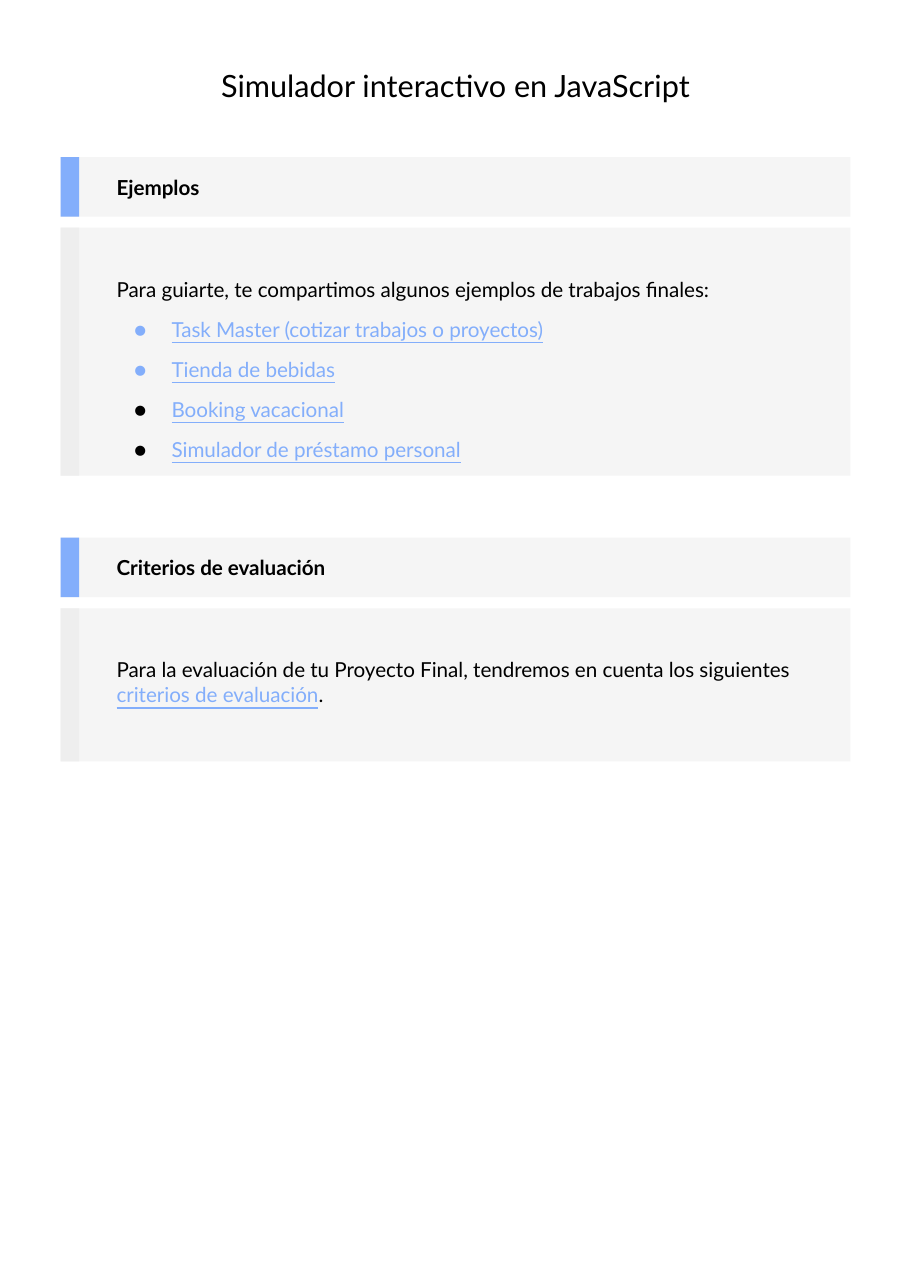
from lxml.etree import SubElement
from pptx import Presentation
from pptx.dml.color import RGBColor
from pptx.enum.shapes import MSO_SHAPE as Shape
from pptx.enum.text import MSO_ANCHOR as Anchor, MSO_AUTO_SIZE as AutoSize, PP_ALIGN as Align
from pptx.oxml.ns import qn
from pptx.util import Pt

COLORS = {"text": "000000", "accent": "83AEFB", "panel": "F5F5F5", "strip": "EEEEEE"}
LEFT, WIDTH = 39.6, 516.2
STRIP_WIDTH = 12.2
TEXT_LEFT = 69.1
HEADING_HEIGHT = 38.9
PANEL_GAP = 7.2
PANEL_PADDING = 24.8

EXAMPLES = [
    ("Task Master (cotizar trabajos o proyectos)", "accent"),
    ("Tienda de bebidas", "accent"),
    ("Booking vacacional", "text"),
    ("Simulador de préstamo personal", "text"),
]


class Page:
    font = "Lato"
    body_size = 13.5

    def __init__(self, slide):
        self.slide = slide

    def place(self, shape, left, top, width, height):
        shape.left, shape.top = Pt(left), Pt(top)
        shape.width, shape.height = Pt(width), Pt(height)

    def prepare_frame(self, shape, anchor=Anchor.TOP):
        frame = shape.text_frame
        frame.word_wrap = True
        frame.auto_size = AutoSize.NONE
        frame.vertical_anchor = anchor
        frame.margin_left = frame.margin_right = Pt(7.2)
        frame.margin_top = frame.margin_bottom = Pt(7.2)
        return frame

    def run(self, paragraph, text, size=body_size, bold=False, link=False):
        run = paragraph.add_run()
        run.text = text
        font = run.font
        font.name, font.size, font.bold = self.font, Pt(size), bold
        font.underline = link
        font.color.rgb = RGBColor.from_string(COLORS["accent" if link else "text"])

    def title(self, text):
        title = self.slide.shapes.title
        self.place(title, LEFT, 36.7, WIDTH, 38.9)
        paragraph = self.prepare_frame(title).paragraphs[0]
        paragraph.alignment = Align.CENTER
        self.run(paragraph, text, size=20)

    def rectangle(self, left, top, width, height, color):
        shape = self.slide.shapes.add_shape(
            Shape.RECTANGLE, Pt(left), Pt(top), Pt(width), Pt(height))
        shape.shadow.inherit = False
        shape.fill.solid()
        shape.fill.fore_color.rgb = RGBColor.from_string(COLORS[color])
        shape.line.fill.background()

    def panel(self, top, height, strip_color):
        self.rectangle(LEFT, top, WIDTH, height, "panel")
        self.rectangle(LEFT, top, STRIP_WIDTH, height, strip_color)

    def text_box(self, top, width, height, anchor=Anchor.TOP):
        box = self.slide.shapes.add_textbox(
            Pt(TEXT_LEFT), Pt(top), Pt(width), Pt(height))
        return self.prepare_frame(box, anchor)

    def section(self, heading, top, panel_height, text_height):
        """Draw a heading bar over a panel and return the panel's text frame."""
        self.panel(top, HEADING_HEIGHT, "accent")
        frame = self.text_box(top + 1.8, 469.4, 35.3, Anchor.MIDDLE)
        paragraph = frame.paragraphs[0]
        paragraph.space_after = Pt(12)
        self.run(paragraph, heading, bold=True)

        panel_top = top + HEADING_HEIGHT + PANEL_GAP
        self.panel(panel_top, panel_height, "strip")
        return self.text_box(panel_top + PANEL_PADDING, 457.9, text_height)

    def bullet(self, frame, text, bullet_color):
        paragraph = frame.add_paragraph()
        paragraph.space_before = Pt(10)
        properties = paragraph._p.get_or_add_pPr()
        properties.set("marL", str(Pt(36)))
        properties.set("indent", str(Pt(-24.5)))
        color = SubElement(properties, qn("a:buClr"))
        SubElement(color, qn("a:srgbClr"), val=COLORS[bullet_color])
        SubElement(properties, qn("a:buFont"), typeface=self.font)
        SubElement(properties, qn("a:buChar"), char="●")
        self.run(paragraph, text, link=True)


def main():
    presentation = Presentation()
    presentation.slide_width, presentation.slide_height = Pt(595.4), Pt(841.7)
    title_only = presentation.slide_layouts[5]
    page = Page(presentation.slides.add_slide(title_only))

    page.title("Simulador interactivo en JavaScript")

    examples = page.section("Ejemplos", 102.7, 162, 136.8)
    page.run(examples.paragraphs[0],
             "Para guiarte, te compartimos algunos ejemplos de trabajos finales:")
    for text, bullet_color in EXAMPLES:
        page.bullet(examples, text, bullet_color)

    criteria = page.section("Criterios de evaluación", 351.4, 100.1, 47.5)
    paragraph = criteria.paragraphs[0]
    page.run(paragraph,
             "Para la evaluación de tu Proyecto Final, tendremos en cuenta los siguientes")
    page.run(paragraph, " criterios de evaluación", link=True)
    page.run(paragraph, ".")

    presentation.save("out.pptx")


if __name__ == "__main__":
    main()
